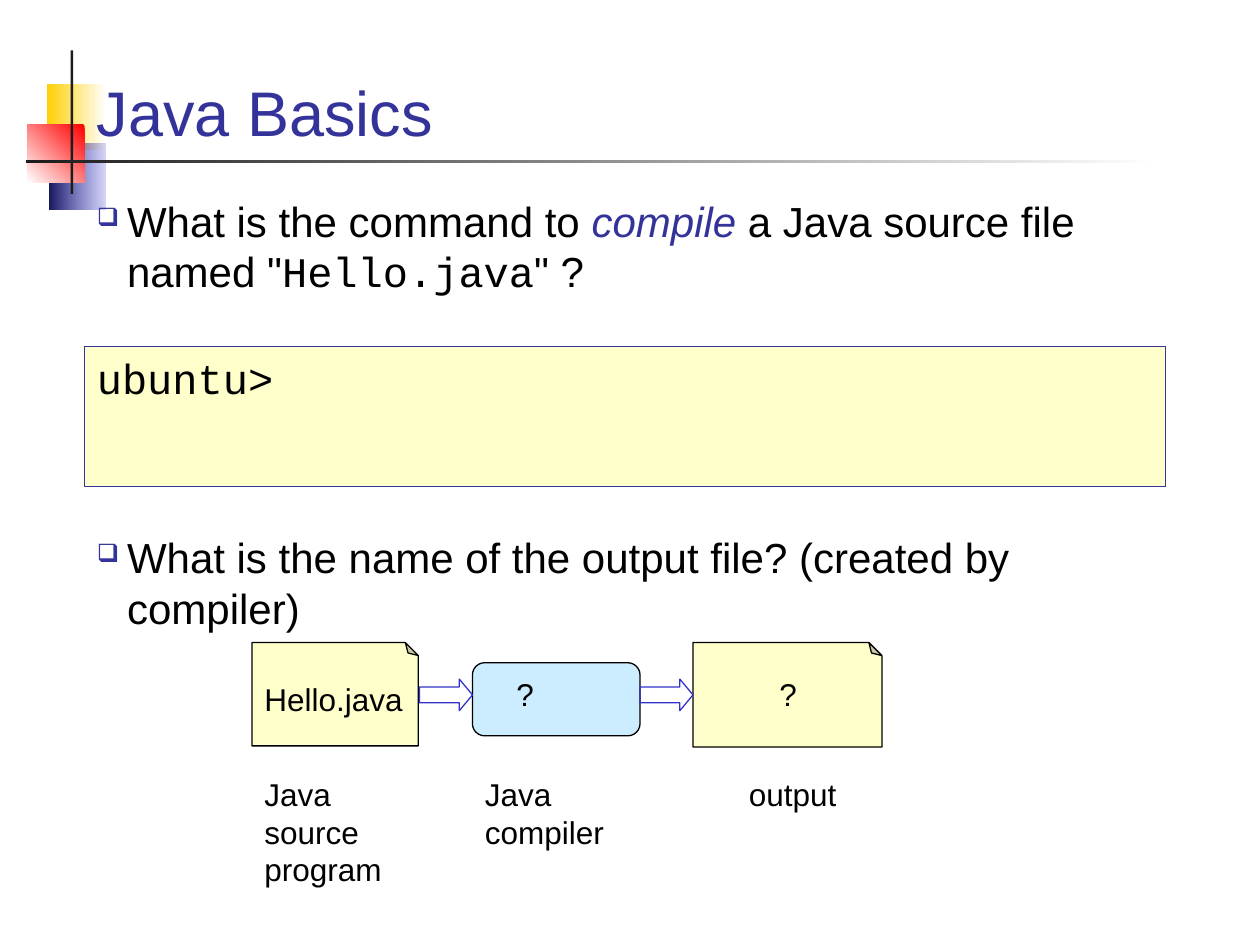
from lxml import etree
from pptx import Presentation
from pptx import util as u
from pptx.dml import color
from pptx.enum import shapes, text
from pptx.oxml import ns

# Content
SANS, MONO = "Arial", "Courier New"
NAVY, BLACK, CREAM = "333399", "000000", "FFFFCC"
TITLE = "Java Basics"
PROMPT = "ubuntu>"
# question: top, space before, runs of (text, font, colour, italic)
QUESTIONS = [
    (1.5, 6, [("What is the command to ", SANS, BLACK, False),
              ("compile", SANS, NAVY, True),
              (' a Java source file named "', SANS, BLACK, False),
              ("Hello.java", MONO, BLACK, False),
              ('" ?', SANS, BLACK, False)]),
    (4.17, 12, [("What is the name of the output file? (created by compiler)",
                 SANS, BLACK, False)]),
]
FOLD, ROUND = shapes.MSO_SHAPE.FOLDED_CORNER, shapes.MSO_SHAPE.ROUNDED_RECTANGLE
# stage: shape, fill, top, width, height, adjustments by name
STAGES = [
    (FOLD, CREAM, 5.1, 1.32, 0.82, {"adj": 12500}),
    (ROUND, "CCECFF", 5.26, 1.33, 0.58, {"adj": 16700}),
    (FOLD, CREAM, 5.1, 1.5, 0.83, {"adj": 12500}),
]
# label: text, stage, offset from the stage's left, top, width, height, centred
LABELS = [
    ("Hello.java", 0, 0, 5.35, 1.32, 0.4, False),
    ("?", 1, 0.25, 5.31, 0.34, 0.4, False),
    ("?", 2, 0.47, 5.31, 0.57, 0.4, True),
    ("Java source program", 0, 0, 6.1, 1.42, 1, False),
    ("Java\ncompiler", 1, 0, 6.1, 1.42, 0.7, False),
    ("output", 2, 0.08, 6.1, 1.42, 0.4, True),
]
# ornament: left, top, width, height, fill (colour or gradient: start, end, angle, start opacity)
ORNAMENTS = [
    (0.37, 0.67, 0.47, 0.52, ("FFFFFF", "FFCF01", 180, 100)),
    (0.39, 1.14, 0.45, 0.52, ("3333CC", "17175E", 180, 20)),
    (0.22, 0.99, 0.45, 0.46, ("FF0000", "FFFFFF", 225, 100)),
    (0.56, 0.4, 0.02, 1.14, "1C1C1C"),
    (0.21, 1.27, 8.98, 0.02, ("FFFFFF", "1C1C1C", 180, 100)),
]

# Grid
LEFT, WIDTH = 0.67, 8.66
FLOW_LEFT, PITCH = 2, 1.75
ARROW_W, ARROW_H, ARROW_TOP = 0.42, 0.25, 5.39

prs = Presentation()
prs.slide_width, prs.slide_height = u.Inches(10), u.Inches(7.5)
slide = prs.slides.add_slide(prs.slide_layouts[6])


def rgb(value):
    return color.RGBColor.from_string(value)


def inches(*box):
    return [u.Inches(v) for v in box]


def adjust(sp, adj):
    guides = sp._element.spPr.find(ns.qn("a:prstGeom")).get_or_add_avLst()
    for guide in list(guides):
        guides.remove(guide)
    for name, value in adj.items():
        etree.SubElement(guides, ns.qn("a:gd"), name=name, fmla=f"val {value}")


def add_shape(kind, box, fill=None, line=None, adj=None):
    sp = slide.shapes.add_shape(kind, *inches(*box))
    sp.shadow.inherit = False
    if adj:
        adjust(sp, adj)
    if fill is None:
        sp.fill.background()
    elif isinstance(fill, str):
        sp.fill.solid()
        sp.fill.fore_color.rgb = rgb(fill)
    else:
        start, end, angle, opacity = fill
        sp.fill.gradient()
        sp.fill.gradient_angle = angle
        for stop, value in zip(sp.fill.gradient_stops, (start, end)):
            stop.color.rgb = rgb(value)
        if opacity < 100:
            first = sp._element.spPr.find(".//" + ns.qn("a:srgbClr"))
            etree.SubElement(first, ns.qn("a:alpha"), val=str(opacity * 1000))
    if line:
        sp.line.color.rgb = rgb(line)
        sp.line.width = u.Pt(0.75)
    else:
        sp.line.fill.background()
    return sp


def write(sp, runs, size, before=0, align=text.PP_ALIGN.LEFT, anchor=text.MSO_ANCHOR.TOP):
    tf = sp.text_frame
    tf.word_wrap, tf.vertical_anchor = True, anchor
    p = tf.paragraphs[0]
    p.alignment, p.space_before = align, u.Pt(before)
    for words, font, colour, italic in runs:
        for i, part in enumerate(words.split("\n")):
            if i:
                p.add_line_break()
            r = p.add_run()
            r.text = part
            r.font.size, r.font.name, r.font.italic = u.Pt(size), font, italic
            r.font.color.rgb = rgb(colour)
    return p


def add_text(box, *args, **kwargs):
    return write(slide.shapes.add_textbox(*inches(*box)), *args, **kwargs)


def add_bullet(p):
    pPr = p._p.get_or_add_pPr()
    indent = u.Inches(0.24)
    pPr.set("marL", str(int(indent)))
    pPr.set("indent", str(-int(indent)))
    colour = etree.SubElement(pPr, ns.qn("a:buClr"))
    etree.SubElement(colour, ns.qn("a:srgbClr"), val=NAVY)
    etree.SubElement(pPr, ns.qn("a:buSzPct"), val="60000")
    etree.SubElement(pPr, ns.qn("a:buChar"), char="❑")


# Corner ornament and title rule
for *box, fill in ORNAMENTS:
    add_shape(shapes.MSO_SHAPE.RECTANGLE, box, fill)

# Title and questions
add_text((LEFT, 0.28, WIDTH, 0.95), [(TITLE, SANS, NAVY, False)], 36,
         anchor=text.MSO_ANCHOR.BOTTOM)
for top, before, runs in QUESTIONS:
    add_bullet(add_text((LEFT, top, WIDTH, 1.08), runs, 24, before))

# Terminal
terminal = add_shape(shapes.MSO_SHAPE.RECTANGLE, (LEFT, 2.75, 8.58, 1.11), CREAM, NAVY)
write(terminal, [(PROMPT, MONO, BLACK, False)], 24, 15)

# Compile flow: stages, labels, arrows
for i, (kind, fill, top, width, height, adj) in enumerate(STAGES):
    stage = add_shape(kind, (FLOW_LEFT + i * PITCH, top, width, height), fill, BLACK, adj)
    if kind == FOLD:
        stage._element.spPr.xfrm.set("flipV", "1")

for words, i, offset, top, width, height, centred in LABELS:
    add_text((FLOW_LEFT + i * PITCH + offset, top, width, height),
             [(words, SANS, BLACK, False)], 18, 11.2,
             text.PP_ALIGN.CENTER if centred else text.PP_ALIGN.LEFT)

for i in range(1, len(STAGES)):
    add_shape(shapes.MSO_SHAPE.RIGHT_ARROW,
              (FLOW_LEFT + i * PITCH - ARROW_W, ARROW_TOP, ARROW_W, ARROW_H),
              line="3333CC", adj={"adj1": 50000, "adj2": 41700})

prs.save("out.pptx")
